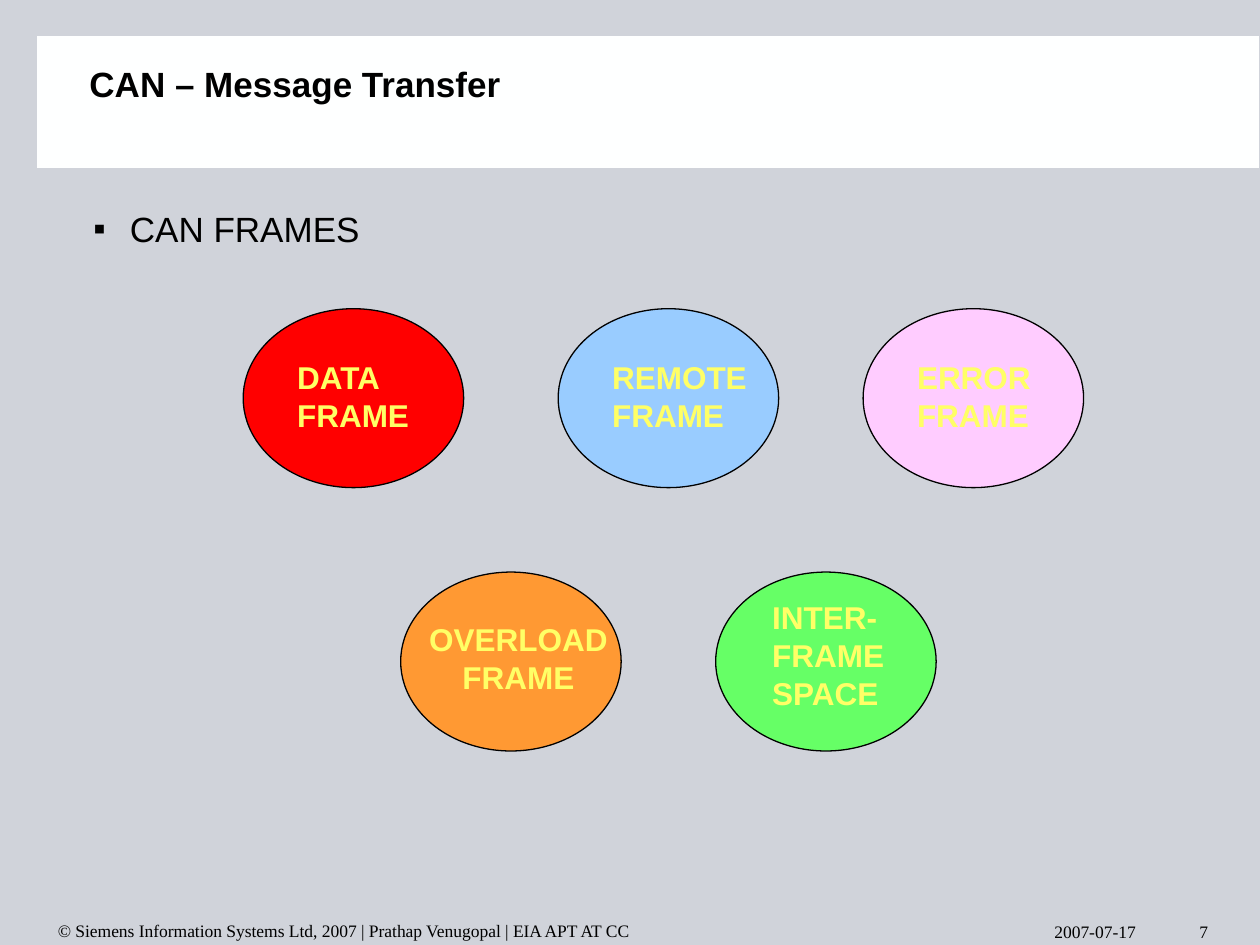
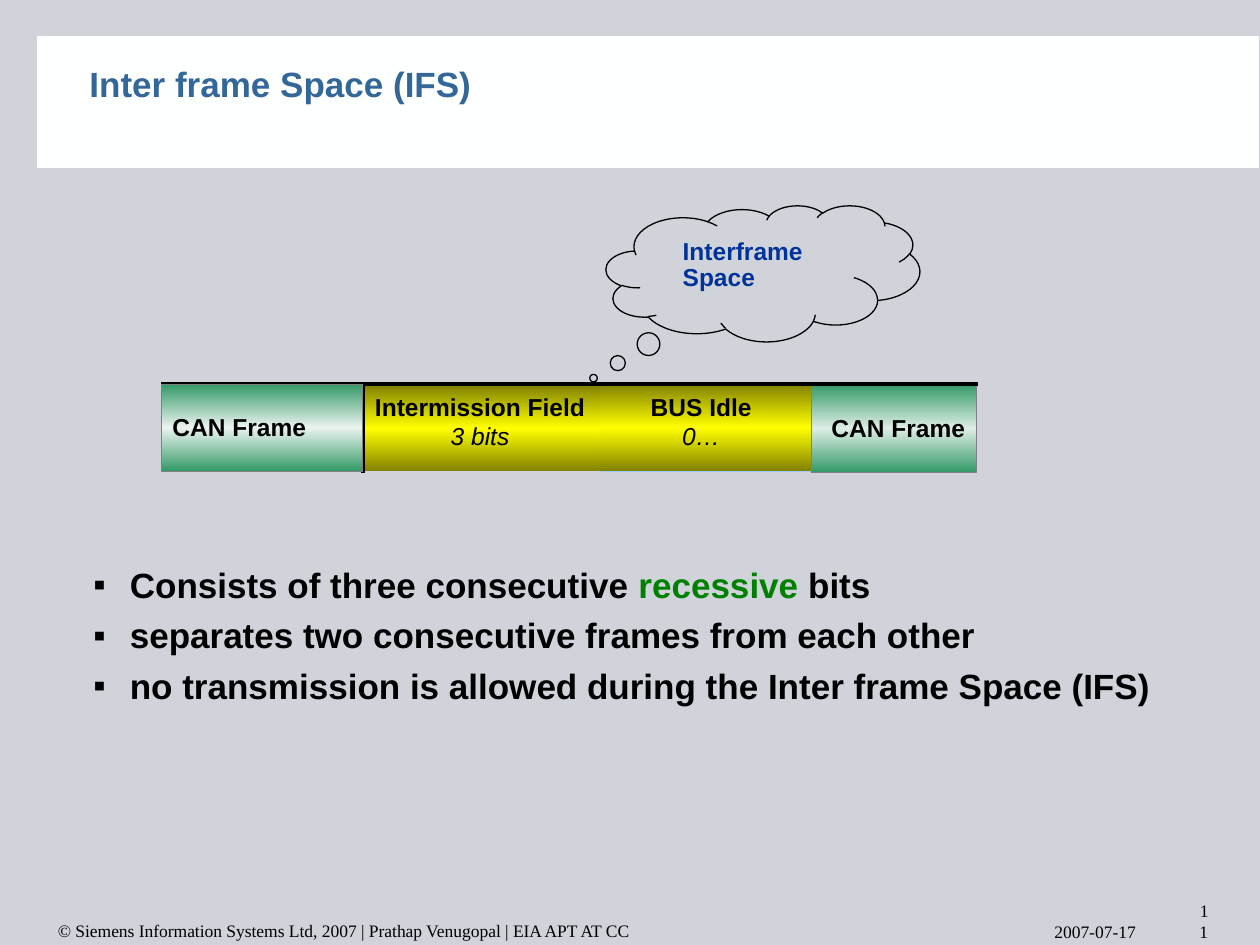
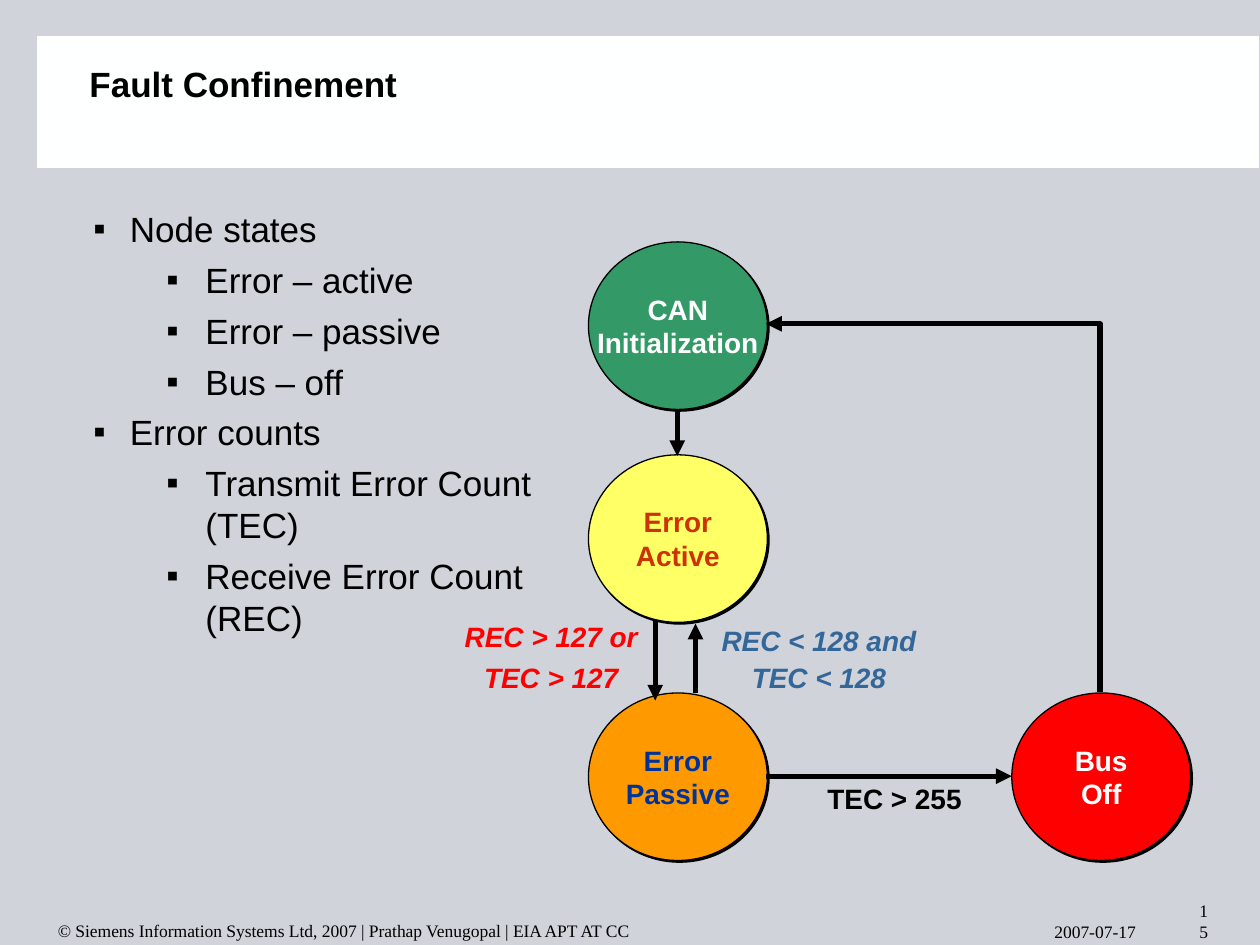
from copy import deepcopy
from dataclasses import dataclass

from lxml.etree import SubElement
from pptx import Presentation
from pptx.dml.color import RGBColor
from pptx.enum.shapes import MSO_CONNECTOR, MSO_SHAPE
from pptx.enum.text import MSO_ANCHOR, MSO_AUTO_SIZE, PP_ALIGN
from pptx.oxml.ns import qn
from pptx.util import Inches, Pt


@dataclass(frozen=True)
class Theme:
    """Colours, fonts and type sizes shared by all slides."""

    page: str = "D0D3DA"
    band: str = "FEFFFF"
    ink: str = "000000"
    white: str = "FFFFFF"
    steel: str = "336699"
    navy: str = "003399"
    green: str = "339966"
    recessive: str = "008000"
    red: str = "FF0000"
    rust: str = "CC3300"
    lemon: str = "FFFF66"
    orange: str = "FF9900"
    sky: str = "99CCFF"
    pink: str = "FFCCFF"
    tangerine: str = "FF9933"
    lime: str = "66FF66"
    olive: str = "828200"
    yellow: str = "FFFF00"
    grey: str = "808080"
    mint: str = "EBF4F0"
    pale_mint: str = "DEEEE6"
    sans: str = "Arial"
    serif: str = "Times New Roman"
    heading: int = 20
    frame: int = 18
    state: int = 16
    field: int = 14
    footer: int = 10


THEME = Theme()
COLUMNS, ROWS = 100, 75
CELL = 0.1


def cells(count):
    """Turn a count of grid cells into a length."""
    return Inches(count * CELL)


@dataclass(frozen=True)
class Box:
    """A region in grid columns and rows."""

    left: float
    top: float
    width: float
    height: float

    def inset(self, left, top, width, height):
        """Return a box placed relative to this one."""
        return Box(self.left + left, self.top + top, width, height)

    def lengths(self):
        """Return left, top, width and height as lengths."""
        return [cells(n) for n in (self.left, self.top, self.width, self.height)]


SHEET = Box(0, 0, COLUMNS, ROWS)


def rgb(code):
    """Return the colour for a hex code."""
    return RGBColor.from_string(code)


def apply(target, values):
    """Set each attribute of the target from a dict."""
    for name, value in values.items():
        setattr(target, name, value)


def style_font(font, size, color=THEME.ink, name=THEME.sans, bold=False, italic=False):
    """Format one font."""
    apply(font, {"size": Pt(size), "name": name, "bold": bold, "italic": italic})
    font.color.rgb = rgb(color)


def write(frame, paras, align=PP_ALIGN.LEFT, before=0, spacing=None, **font):
    """Fill a text frame; each paragraph is a string or a list of (text, format) spans."""
    for index, spans in enumerate(paras):
        para = frame.add_paragraph() if index else frame.paragraphs[0]
        apply(para, {"alignment": align, "space_before": Pt(before if index else 0)})
        if spacing:
            para.line_spacing = spacing
        for text, changes in [(spans, {})] if isinstance(spans, str) else spans:
            for row, line in enumerate(text.split("\n")):
                if row:
                    para.add_line_break()
                span = para.add_run()
                span.text = line
                style_font(span.font, **{**font, **changes})


def set_frame(frame, wrap=True, anchor=MSO_ANCHOR.TOP, side=0.1, edge=0.05):
    """Set the wrapping, anchor and margins of a text frame."""
    apply(frame, {
        "auto_size": MSO_AUTO_SIZE.NONE, "word_wrap": wrap, "vertical_anchor": anchor,
        "margin_left": Inches(side), "margin_right": Inches(side),
        "margin_top": Inches(edge), "margin_bottom": Inches(edge),
    })


def add_label(page, box, paras, wrap=False, **text):
    """Add a text box."""
    frame = page.shapes.add_textbox(*box.lengths()).text_frame
    set_frame(frame, wrap)
    write(frame, paras, **text)


def style_outline(shape, color, width):
    """Give a shape a line, or none when the colour is missing."""
    if color:
        shape.line.color.rgb = rgb(color)
        shape.line.width = Pt(width)
    else:
        shape.line.fill.background()


def add_figure(page, kind, box, fill=None, line=THEME.ink, width=0.75):
    """Add a preset shape without a shadow."""
    shape = page.shapes.add_shape(kind, *box.lengths())
    shape.shadow.inherit = False
    if fill:
        shape.fill.solid()
        shape.fill.fore_color.rgb = rgb(fill)
    else:
        shape.fill.background()
    style_outline(shape, line, width)
    return shape


def add_arrowhead(shape):
    """Put a triangle at the end of a line."""
    SubElement(shape._element.spPr.find(qn("a:ln")), qn("a:tailEnd"), type="triangle")


def add_line(page, box, start, end, width, arrow=False):
    """Draw a straight line between two points of a box."""
    points = [cells(n) for x, y in (start, end) for n in (box.left + x, box.top + y)]
    line = page.shapes.add_connector(MSO_CONNECTOR.STRAIGHT, *points)
    style_outline(line, THEME.ink, width)
    SubElement(line._element.spPr, qn("a:effectLst"))
    if arrow:
        add_arrowhead(line)


def indent(para, left, hanging=0):
    """Set the left margin and hanging indent of a paragraph."""
    props = para._p.get_or_add_pPr()
    props.set("marL", str(Inches(left)))
    props.set("indent", str(Inches(-hanging)))
    return props


def prepare_master(deck, page):
    """Set the background and put the title band on the shared layout."""
    background = deck.slide_master.background.fill
    background.solid()
    background.fore_color.rgb = rgb(THEME.page)
    band = add_figure(page, MSO_SHAPE.RECTANGLE, SHEET.inset(2.9, 2.8, 97.1, 10.6), THEME.band, THEME.page)
    page.slide_layout.shapes._spTree.insert(2, band._element)


def add_title(page, box, text, color):
    """Place and format the title placeholder."""
    title = page.shapes.title
    apply(title, dict(zip(("left", "top", "width", "height"), box.lengths())))
    set_frame(title.text_frame, anchor=MSO_ANCHOR.MIDDLE, edge=0)
    write(title.text_frame, [text], size=THEME.heading, color=color, bold=True)


def add_list(page, box, items, bold=False):
    """Fill the body placeholder with (level, spans) items."""
    body = page.placeholders[1]
    apply(body, dict(zip(("left", "top", "width", "height"), box.lengths())))
    set_frame(body.text_frame, edge=0)
    write(body.text_frame, [spans for level, spans in items], before=5, size=THEME.heading, bold=bold)
    for para, (level, spans) in zip(body.text_frame.paragraphs, items):
        para.level = level
        props = indent(para, *((0.29, 0.29), (0.89, 0.31))[level])
        color = SubElement(props, qn("a:buClr"))
        SubElement(color, qn("a:srgbClr"), val=THEME.ink)
        SubElement(props, qn("a:buChar"), char="▪")


def add_footer(page, box, number):
    """Add the copyright line, slide number and date."""
    notes = (
        (box.inset(0, 0, 72.8, 3.9), PP_ALIGN.LEFT,
         "© Siemens Information Systems Ltd, 2007 | Prathap Venugopal | EIA APT AT CC"),
        (box.inset(91.3, 2, 3.9, 2), PP_ALIGN.RIGHT, str(number)),
        (box.inset(79.1, 2, 11.4, 2), PP_ALIGN.LEFT, "2007-07-17"),
    )
    for place, align, text in notes:
        frame = page.shapes.add_textbox(*place.lengths()).text_frame
        set_frame(frame, anchor=MSO_ANCHOR.BOTTOM, edge=0)
        write(frame, [text], align, size=THEME.footer, name=THEME.serif)
        indent(frame.paragraphs[0], 0.24)


def add_frame_types(page, box):
    """Draw the five kinds of CAN frame as labelled ellipses."""
    low = 20.9
    left, center = PP_ALIGN.LEFT, PP_ALIGN.CENTER
    kinds = (
        (0, 0, THEME.red, ["DATA", "FRAME"], (3.3, 3.4, 10.9, 7), left),
        (25, 0, THEME.sky, ["REMOTE", "FRAME"], (3.3, 3.4, 12.7, 7), left),
        (49.2, 0, THEME.pink, ["ERROR", "FRAME"], (3.3, 3.4, 11, 7), left),
        (12.5, low, THEME.tangerine, ["OVERLOAD", "FRAME"], (1.3, 3.3, 16.1, 7), center),
        (37.5, low, THEME.lime, ["INTER-", "FRAME", "SPACE"], (3.5, 1.6, 10.9, 10), left),
    )
    for x, y, fill, words, place, align in kinds:
        oval = box.inset(x, y, 17.5, 14.2)
        add_figure(page, MSO_SHAPE.OVAL, oval, fill)
        add_label(page, oval.inset(*place), words, align=align,
                  size=THEME.frame, color=THEME.lemon, bold=True)


def add_field(page, box, edge, middle, line):
    """Draw one bar segment with a mirrored vertical gradient."""
    field = add_figure(page, MSO_SHAPE.RECTANGLE, box, edge, line)
    field.fill.gradient()
    field.fill.gradient_angle = 270
    stops = field._element.spPr.find(qn("a:gradFill")).find(qn("a:gsLst"))
    stops.append(deepcopy(stops[-1]))
    for stop, color, position in zip(field.fill.gradient_stops, (edge, middle, edge), (0, 0.5, 1)):
        stop.color.rgb = rgb(color)
        stop.position = position


def add_frame_bar(page, box):
    """Draw the bit fields between two CAN frames."""
    height = 6.9
    first, second, third, end = 16, 34.8, 51.6, 64.8
    add_field(page, box.inset(second, 0, third - second, height), THEME.olive, THEME.yellow, THEME.sky)
    add_field(page, box.inset(first, 0.1, second - first, height - 0.1), THEME.olive, THEME.yellow, None)
    add_line(page, box, (first, 0), (first, 7), 2.25)
    add_line(page, box, (0, 0), (third, 0), 2.25)
    add_line(page, box, (third, 0), (third, 7), 1)
    add_field(page, box.inset(0, 0, first, height), THEME.green, THEME.mint, THEME.grey)
    add_field(page, box.inset(third, 0, 13.1, 7), THEME.green, THEME.pale_mint, THEME.grey)
    add_line(page, box, (third, 0), (end, 0), 2.25)
    value = {"bold": False, "italic": True}
    labels = (
        ((-0.1, 1.7, 12.6, 3.4), ["CAN Frame"], PP_ALIGN.LEFT),
        ((52.2, 1.8, 12.6, 3.4), ["CAN Frame"], PP_ALIGN.LEFT),
        ((37.6, 0.1, 10.5, 5.7), ["BUS Idle", [("0…", value)]], PP_ALIGN.CENTER),
        ((15.7, 0.1, 19.2, 5.7), ["Intermission Field", [("3 bits", value)]], PP_ALIGN.CENTER),
    )
    for place, paras, align in labels:
        add_label(page, box.inset(*place), paras, align=align, size=THEME.field, bold=True)


def add_thought(page, box):
    """Draw the cloud that names the interframe space."""
    cloud = add_figure(page, MSO_SHAPE.CLOUD_CALLOUT, box)
    for index, value in enumerate((-0.54, 0.77)):
        cloud.adjustments[index] = value
    add_label(page, box.inset(5.1, 2.2, 16.4, 5.2), ["Interframe Space"], wrap=True,
              spacing=0.9, size=THEME.field, color=THEME.navy, bold=True)


def add_state(page, box, text, fill, color):
    """Draw one node state as a circle with a hard shadow."""
    state = add_figure(page, MSO_SHAPE.OVAL, box, fill)
    effects = state._element.spPr.find(qn("a:effectLst"))
    shadow = SubElement(effects, qn("a:outerShdw"), dist=str(Pt(1.4)), dir="2700000", algn="ctr", rotWithShape="0")
    SubElement(shadow, qn("a:srgbClr"), val=THEME.ink)
    set_frame(state.text_frame, wrap=False, anchor=MSO_ANCHOR.MIDDLE)
    write(state.text_frame, [text], PP_ALIGN.CENTER, size=THEME.state, color=color, bold=True)


def add_return_path(page, box, points):
    """Draw the bent arrow from bus off back to initialization."""
    start, *rest = [(cells(box.left + x), cells(box.top + y)) for x, y in points]
    builder = page.shapes.build_freeform(*start)
    builder.add_line_segments(rest, close=False)
    route = builder.convert_to_shape()
    route.shadow.inherit = False
    route.fill.background()
    style_outline(route, THEME.ink, 3)
    add_arrowhead(route)


def add_state_diagram(page, box):
    """Draw the fault confinement states and their transitions."""
    states = (
        (0, 0, "CAN\nInitialization", THEME.green, THEME.white),
        (0, 35.8, "Error\nPassive", THEME.orange, THEME.navy),
        (33.6, 35.8, "Bus\nOff", THEME.red, THEME.white),
        (0, 16.9, "Error\nActive", THEME.lemon, THEME.rust),
    )
    for x, y, text, fill, color in states:
        add_state(page, box.inset(x, y, 14.2, 13.3), text, fill, color)
    rules = (
        ((-10.8, 30.2, 15.7, 6.1), ["REC > 127 or", "TEC > 127"], THEME.red, 0.7, True),
        ((9.6, 30.7, 17.4, 5.6), ["REC < 128 and", "TEC < 128"], THEME.steel, 0.6, True),
        ((18, 42.3, 12.6, 3.7), ["TEC > 255"], THEME.ink, None, False),
    )
    for place, paras, color, spacing, italic in rules:
        add_label(page, box.inset(*place), paras, align=PP_ALIGN.CENTER, before=10, spacing=spacing,
                  size=THEME.state, color=color, bold=True, italic=italic)
    arrows = (
        ((14.1, 42.4), (33.6, 42.4)),
        ((7.05, 13.3), (7.05, 17)),
        ((5.3, 30.1), (5.3, 36.4)),
        ((8.5, 35.8), (8.5, 30.3)),
    )
    for start, end in arrows:
        add_line(page, box, start, end, 3, arrow=True)
    add_return_path(page, box, ((40.6, 35.7), (40.6, 6.5), (14.1, 6.5)))


def fill_frames(page):
    """Build the message transfer slide."""
    add_list(page, SHEET.inset(6.4, 16.5, 89.7, 53.1), [(0, "CAN FRAMES")])
    add_frame_types(page, SHEET.inset(19.3, 24.5, 66.7, 35.1))


def fill_interframe(page):
    """Build the interframe space slide."""
    add_list(page, SHEET.inset(6.4, 44.7, 89.7, 27.4), [
        (0, [("Consists of three consecutive ", {}), ("recessive", {"color": THEME.recessive}), (" bits", {})]),
        (0, "separates two consecutive frames from each other"),
        (0, "no transmission is allowed during the Inter frame Space (IFS)"),
    ], bold=True)
    add_frame_bar(page, SHEET.inset(12.8, 30.5, 64.8, 7))
    add_thought(page, SHEET.inset(48.1, 16.3, 24.9, 10.8))


def fill_faults(page):
    """Build the fault confinement slide."""
    add_list(page, SHEET.inset(6.4, 16.5, 38.9, 53.1), [
        (0, "Node states"),
        (1, "Error – active"),
        (1, "Error – passive"),
        (1, "Bus – off"),
        (0, "Error counts"),
        (1, "Transmit Error Count (TEC)"),
        (1, "Receive Error Count (REC)"),
    ])
    add_state_diagram(page, SHEET.inset(46.7, 19.2, 47.8, 49.1))


def main():
    """Build and save the deck."""
    deck = Presentation()
    apply(deck, {"slide_width": cells(COLUMNS), "slide_height": cells(ROWS)})
    slides = (
        ("CAN – Message Transfer", THEME.ink, 7, fill_frames),
        ("Inter frame Space (IFS)", THEME.steel, 11, fill_interframe),
        ("Fault Confinement", THEME.ink, 15, fill_faults),
    )
    for index, (title, color, number, fill_page) in enumerate(slides):
        page = deck.slides.add_slide(deck.slide_layouts[1])
        if index == 0:
            prepare_master(deck, page)
        add_title(page, SHEET.inset(6.1, 2.7, 63, 7.9), title, color)
        fill_page(page)
        add_footer(page, SHEET.inset(1.2, 70.8, 95.2, 4), number)
    deck.save("out.pptx")


if __name__ == "__main__":
    main()
